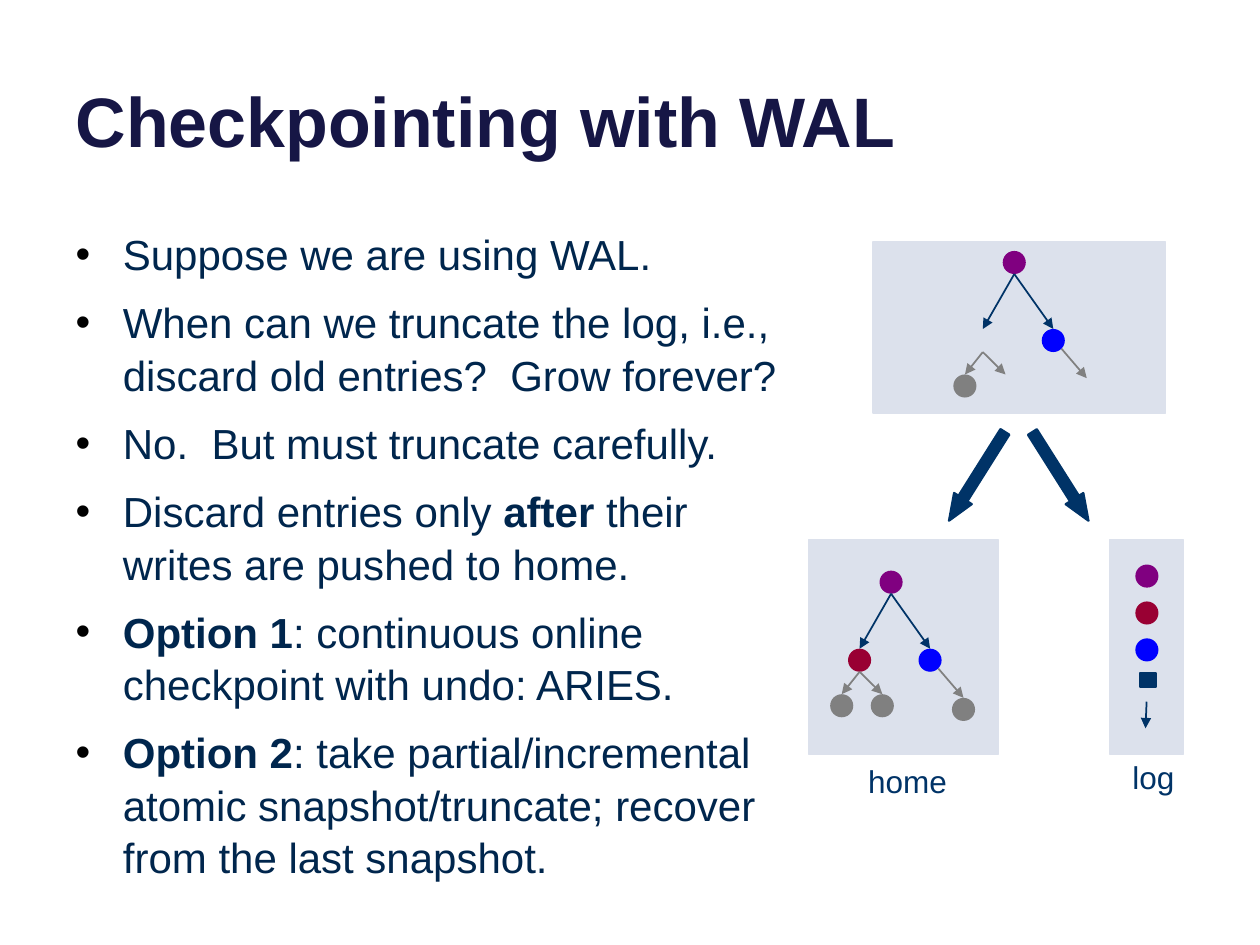
from lxml.etree import SubElement
from pptx import Presentation
from pptx.dml.color import RGBColor
from pptx.enum.shapes import MSO_CONNECTOR, MSO_SHAPE
from pptx.enum.text import MSO_ANCHOR, MSO_AUTO_SIZE, PP_ALIGN
from pptx.oxml.ns import qn
from pptx.util import Pt

COLORS = {
    "title": "161645", "body": "00264D", "bullet": "000000", "navy": "003367",
    "panel": "DCE1EC", "purple": "800080", "blue": "0000FF", "red": "990033",
    "gray": "808080",
}
RGB = {name: RGBColor.from_string(value) for name, value in COLORS.items()}
DOT = 13.2
R = DOT / 2

prs = Presentation()
prs.slide_width, prs.slide_height = Pt(720), Pt(540)
s = prs.slides.add_slide(prs.slide_layouts[1])


def add_shape(kind, x, y, w, h, color, line=None):
    """Add a filled shape, outlined in its own colour when a line width is given."""
    sp = s.shapes.add_shape(kind, Pt(x), Pt(y), Pt(w), Pt(h))
    sp.shadow.inherit = False
    sp.fill.solid()
    sp.fill.fore_color.rgb = RGB[color]
    if line:
        sp.line.color.rgb = RGB[color]
        sp.line.width = Pt(line)
    else:
        sp.line.fill.background()
    return sp


def add_arrow(x1, y1, x2, y2, color):
    cx = s.shapes.add_connector(MSO_CONNECTOR.STRAIGHT, Pt(x1), Pt(y1), Pt(x2), Pt(y2))
    cx.line.color.rgb = RGB[color]
    cx.line.width = Pt(1)
    SubElement(cx.line._get_or_add_ln(), qn("a:tailEnd"), type="triangle")
    SubElement(cx._element.spPr, qn("a:effectLst"))


# Title
title = s.shapes.title
title.left, title.top, title.width, title.height = Pt(36), Pt(-26.6), Pt(648), Pt(122.4)
tf = title.text_frame
tf.text = "Checkpointing with WAL"
tf.auto_size = MSO_AUTO_SIZE.NONE
tf.vertical_anchor = MSO_ANCHOR.BOTTOM
p = tf.paragraphs[0]
p.alignment = PP_ALIGN.LEFT
font = p.runs[0].font
font.name, font.size, font.bold = "Arial", Pt(40), True
font.color.rgb = RGB["title"]

# Bullet list: each item is a list of (text, bold) runs
ITEMS = [
    [("Suppose we are using WAL.", False)],
    [("When can we truncate the log, i.e., discard old entries?  Grow forever?", False)],
    [("No.  But must truncate carefully.", False)],
    [("Discard entries only ", False), ("after", True),
     (" their writes are pushed to home.", False)],
    [("Option 1", True), (": continuous online checkpoint with undo: ARIES.", False)],
    [("Option 2", True),
     (": take partial/incremental atomic snapshot/truncate; recover from the last snapshot.",
      False)],
]
body = s.placeholders[1]
body.left, body.top, body.width, body.height = Pt(36), Pt(126), Pt(417.6), Pt(324)
tf = body.text_frame
tf.auto_size = MSO_AUTO_SIZE.NONE
for i, item in enumerate(ITEMS):
    p = tf.paragraphs[0] if i == 0 else tf.add_paragraph()
    p.line_spacing = 1.04
    p.space_before = Pt(9 if i else 0)
    pPr = p._p.get_or_add_pPr()
    pPr.set("marL", str(Pt(27)))
    pPr.set("indent", str(Pt(-27)))
    SubElement(SubElement(pPr, qn("a:buClr")), qn("a:srgbClr"), val=COLORS["bullet"])
    SubElement(pPr, qn("a:buFont"), typeface="Arial")
    SubElement(pPr, qn("a:buChar"), char="•")
    for text, bold in item:
        r = p.add_run()
        r.text = text
        r.font.name, r.font.size, r.font.bold = "Arial", Pt(24), bold
        r.font.color.rgb = RGB["body"]

# Panels: memory, home, log
for x, y, w, h in [(499, 138.2, 167, 98), (462.2, 308.2, 108, 123), (634.3, 308.2, 41.8, 123)]:
    add_shape(MSO_SHAPE.RECTANGLE, x, y, w, h, "panel", 1)

# Trees: node centres and arrow ends are offsets from the centre of the root
NODES = {
    "root": (0, 0, "purple"), "left": (-18, 44.6, "red"), "right": (22.3, 44.6, "blue"),
    "leaf 1": (-28.2, 70.6, "gray"), "leaf 2": (-5, 70.6, "gray"),
    "leaf 3": (41.4, 72.7, "gray"),
}
EDGES = [("root", "left", "navy"), ("root", "right", "navy"), ("left", "leaf 1", "gray"),
         ("left", "leaf 2", "gray"), ("right", "leaf 3", "gray")]
TREES = [(579.6, 150, ["root", "right", "leaf 1"]), (509.2, 332.7, list(NODES))]
for root_x, root_y, shown in TREES:
    for name in shown:
        dx, dy, color = NODES[name]
        add_shape(MSO_SHAPE.OVAL, root_x + dx - R, root_y + dy - R, DOT, DOT, color)
    for start, end, color in EDGES:
        x1, y1, _ = NODES[start]
        x2, y2, _ = NODES[end]
        # The right node's arrow leaves from its lower right, the others from the bottom
        out_x, out_y = (4.7, 4.7) if start == "right" else (0, R)
        add_arrow(root_x + x1 + out_x, root_y + y1 + out_y,
                  root_x + x2, root_y + y2 - R, color)

# Log entries
for i, color in enumerate(["purple", "red", "blue"]):
    add_shape(MSO_SHAPE.OVAL, 648.8, 322.6 + 21.1 * i, DOT, DOT, color)
add_shape(MSO_SHAPE.RECTANGLE, 651.4, 384.6, 9.2, 7.8, "navy", 1)
add_arrow(655.2, 401, 654.6, 416.2, "navy")

# Block arrows from memory to home and log
for x, angle in [(552.3, 32.2), (600, 327.7)]:
    arrow = add_shape(MSO_SHAPE.DOWN_ARROW, x, 242.2, 12, 60, "navy", 1.25)
    arrow.adjustments[0], arrow.adjustments[1] = 0.5, 1.25
    arrow.rotation = angle

# Captions
for text, x, y, w in [("home", 488.6, 431.5, 60), ("log", 635.6, 429.5, 47)]:
    tf = s.shapes.add_textbox(Pt(x), Pt(y), Pt(w), Pt(29)).text_frame
    tf.text = text
    tf.word_wrap = False
    tf.vertical_anchor = MSO_ANCHOR.MIDDLE
    p = tf.paragraphs[0]
    p.alignment = PP_ALIGN.CENTER
    font = p.runs[0].font
    font.name, font.size = "Arial", Pt(18)
    font.color.rgb = RGB["navy"]

prs.save("out.pptx")
